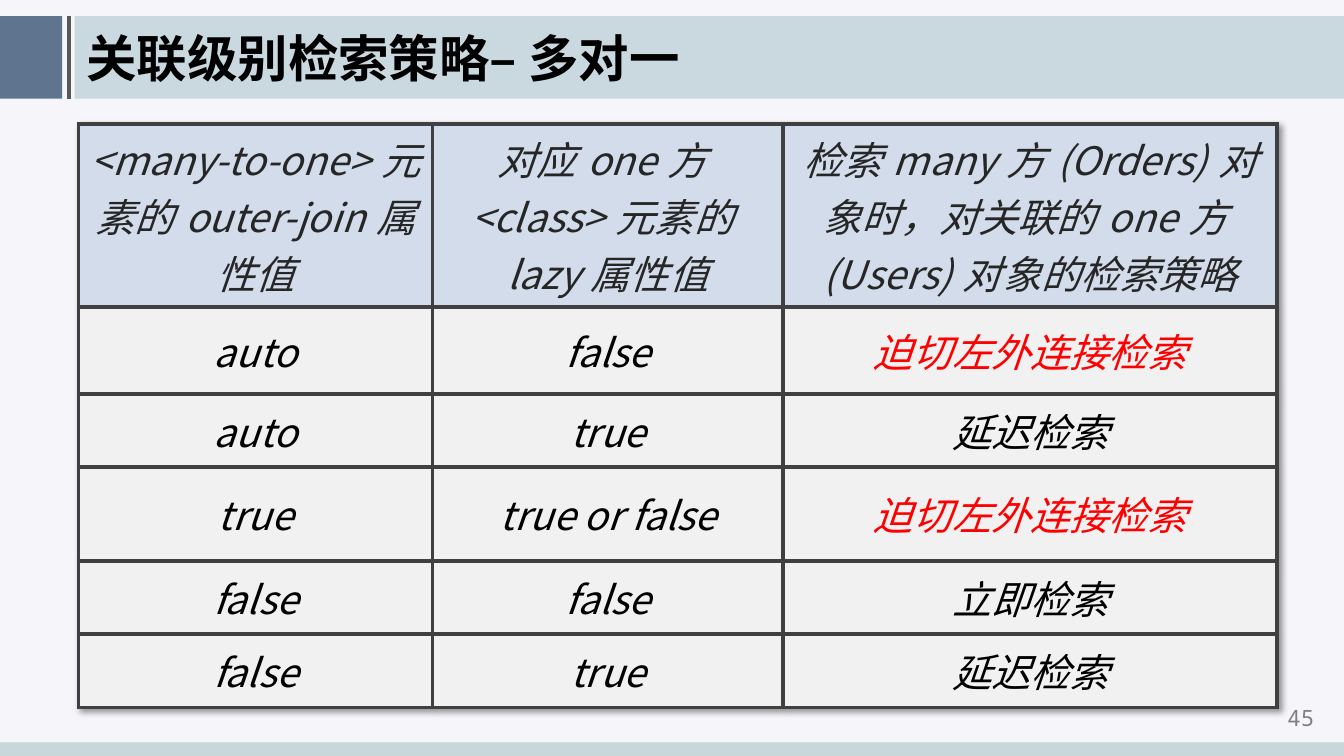
from dataclasses import dataclass

import lxml.etree
import pptx
import pptx.dml.color
import pptx.enum.shapes
import pptx.enum.text
import pptx.oxml
import pptx.oxml.ns
import pptx.util

Cm = pptx.util.Cm
Align = pptx.enum.text.PP_ALIGN
Middle = pptx.enum.text.MSO_ANCHOR.MIDDLE


@dataclass(frozen=True)
class Theme:
    back: str = "F5F5FA"
    navy: str = "204062"
    teal: str = "6699A1"
    foot: str = "C8D7DA"
    rule: str = "595959"
    edge: str = "404040"
    head: str = "D3DCEB"
    body: str = "F1F1F1"
    dark: str = "262626"
    black: str = "000000"
    red: str = "FF0000"
    gray: str = "808080"
    sans: str = "Noto Sans CJK SC"
    mono: str = "Noto Sans Mono"
    title: int = 36
    cell: int = 28
    page: int = 16
    line: int = 3


@dataclass(frozen=True)
class Box:
    left: float
    top: float
    width: float
    height: float

    def place(self) -> tuple:
        return Cm(self.left), Cm(self.top), Cm(self.width), Cm(self.height)


@dataclass(frozen=True)
class Bar:
    box: Box
    color: str
    alpha: int = 100


@dataclass(frozen=True)
class Style:
    size: int
    color: str
    font: str
    align: Align = Align.CENTER
    bold: bool = False
    italic: bool = False


THEME = Theme()
WIDTH, HEIGHT = 33.87, 19.05
BAND_TOP, BAND_TALL = 0.41, 2.08
BAND_LEFT, RULE_LEFT = 1.88, 1.73
FOOT_TOP = 18.71

BARS = [
    Bar(Box(0, BAND_TOP, 1.57, BAND_TALL), THEME.navy, 70),
    Bar(Box(BAND_LEFT, BAND_TOP, WIDTH - BAND_LEFT, BAND_TALL), THEME.teal, 30),
    Bar(Box(0, FOOT_TOP, WIDTH, HEIGHT - FOOT_TOP), THEME.foot),
]

COLS = [8.92, 8.84, 12.45]
TALLS = [4.62, 2.18, 1.85, 2.36, 1.85, 1.85]
EAGER = "迫切左外连接检索"
LAZY = "延迟检索"
ROWS = [
    ("<many-to-one>元素的outer-join属性值",
     "对应one方<class>元素的lazy属性值",
     "检索many方(Orders)对象时，对关联的one方(Users)对象的检索策略"),
    ("auto", "false", EAGER),
    ("auto", "true", LAZY),
    ("true", "true or false", EAGER),
    ("false", "false", "立即检索"),
    ("false", "true", LAZY),
]


def rgb(color: str) -> pptx.dml.color.RGBColor:
    return pptx.dml.color.RGBColor.from_string(color)


def xml(text: str) -> lxml.etree.ElementBase:
    space = pptx.oxml.ns.nsdecls("a")
    return pptx.oxml.parse_xml(text.replace(">", f" {space}>", 1))


def write(frame: pptx.text.text.TextFrame, text: str, style: Style) -> None:
    frame.text = text
    frame.word_wrap = True
    para = frame.paragraphs[0]
    para.alignment = style.align
    for run in para.runs:
        font = run.font
        font.size = pptx.util.Pt(style.size)
        font.bold, font.italic = style.bold, style.italic
        font.color.rgb = rgb(style.color)
        font.name = style.font
        face = xml("<a:ea></a:ea>")
        face.set("typeface", style.font)
        run._r.get_or_add_rPr().append(face)


def draw_bar(slide: pptx.slide.Slide, bar: Bar) -> None:
    kind = pptx.enum.shapes.MSO_SHAPE.RECTANGLE
    shape = slide.shapes.add_shape(kind, *bar.box.place())
    shape.shadow.inherit = False
    shape.line.fill.background()
    shape.fill.solid()
    shape.fill.fore_color.rgb = rgb(bar.color)
    if bar.alpha < 100:
        tint = shape._element.spPr.find(".//" + pptx.oxml.ns.qn("a:srgbClr"))
        alpha = xml("<a:alpha></a:alpha>")
        alpha.set("val", str(bar.alpha * 1000))
        tint.append(alpha)


def draw_rule(slide: pptx.slide.Slide) -> None:
    kind = pptx.enum.shapes.MSO_CONNECTOR.STRAIGHT
    rule = slide.shapes.add_connector(
        kind, Cm(RULE_LEFT), Cm(BAND_TOP + BAND_TALL), Cm(RULE_LEFT), Cm(BAND_TOP))
    rule.line.color.rgb = rgb(THEME.rule)
    rule.line.width = pptx.util.Pt(THEME.line)
    rule._element.spPr.append(xml("<a:effectLst></a:effectLst>"))


def draw_text(slide: pptx.slide.Slide, box: Box, text: str, style: Style) -> None:
    frame = slide.shapes.add_textbox(*box.place()).text_frame
    write(frame, text, style)
    frame.vertical_anchor = Middle


def edge_cell(cell: pptx.table._Cell) -> None:
    props = cell._tc.get_or_add_tcPr()
    wide = pptx.util.Pt(THEME.line)
    for spot, side in enumerate("LRTB"):
        props.insert(spot, xml(
            f'<a:ln{side}><a:solidFill><a:srgbClr val="{THEME.edge}"/></a:solidFill>'
            f'<a:prstDash val="solid"/></a:ln{side}>'))
        props[spot].set("w", str(wide))


def draw_table(slide: pptx.slide.Slide, left: float, top: float) -> None:
    box = Box(left, top, sum(COLS), sum(TALLS))
    table = slide.shapes.add_table(len(ROWS), len(COLS), *box.place()).table
    table.first_row = table.horz_banding = False
    table._tbl.tblPr.insert(0, xml(
        '<a:effectLst><a:outerShdw blurRad="50800" dist="38100" dir="2700000" '
        'algn="tl" rotWithShape="0"><a:srgbClr val="000000"><a:alpha val="40000"/>'
        '</a:srgbClr></a:outerShdw></a:effectLst>'))
    for col, width in zip(table.columns, COLS):
        col.width = Cm(width)
    for place, (row, tall, texts) in enumerate(zip(table.rows, TALLS, ROWS)):
        row.height = Cm(tall)
        for cell, text in zip(row.cells, texts):
            color = THEME.red if text == EAGER else THEME.black
            if place == 0:
                color = THEME.dark
            style = Style(THEME.cell, color, THEME.sans, italic=True)
            write(cell.text_frame, text, style)
            cell.vertical_anchor = Middle
            cell.fill.solid()
            cell.fill.fore_color.rgb = rgb(THEME.body if place else THEME.head)
            edge_cell(cell)


# Slide and background
deck = pptx.Presentation()
deck.slide_width, deck.slide_height = Cm(WIDTH), Cm(HEIGHT)
slide = deck.slides.add_slide(deck.slide_layouts[6])
slide.background.fill.solid()
slide.background.fill.fore_color.rgb = rgb(THEME.back)

# Title band and footer
for bar in BARS:
    draw_bar(slide, bar)
draw_rule(slide)
draw_text(slide, Box(31.72, 17.68, 2.13, 0.79), "45",
          Style(THEME.page, THEME.gray, THEME.mono))
draw_text(slide, Box(1.93, 0.53, 29.31, 1.85), "关联级别检索策略– 多对一",
          Style(THEME.title, THEME.black, THEME.sans, Align.LEFT, bold=True))

# Strategy table
draw_table(slide, 1.98, 3.12)

deck.save("out.pptx")
